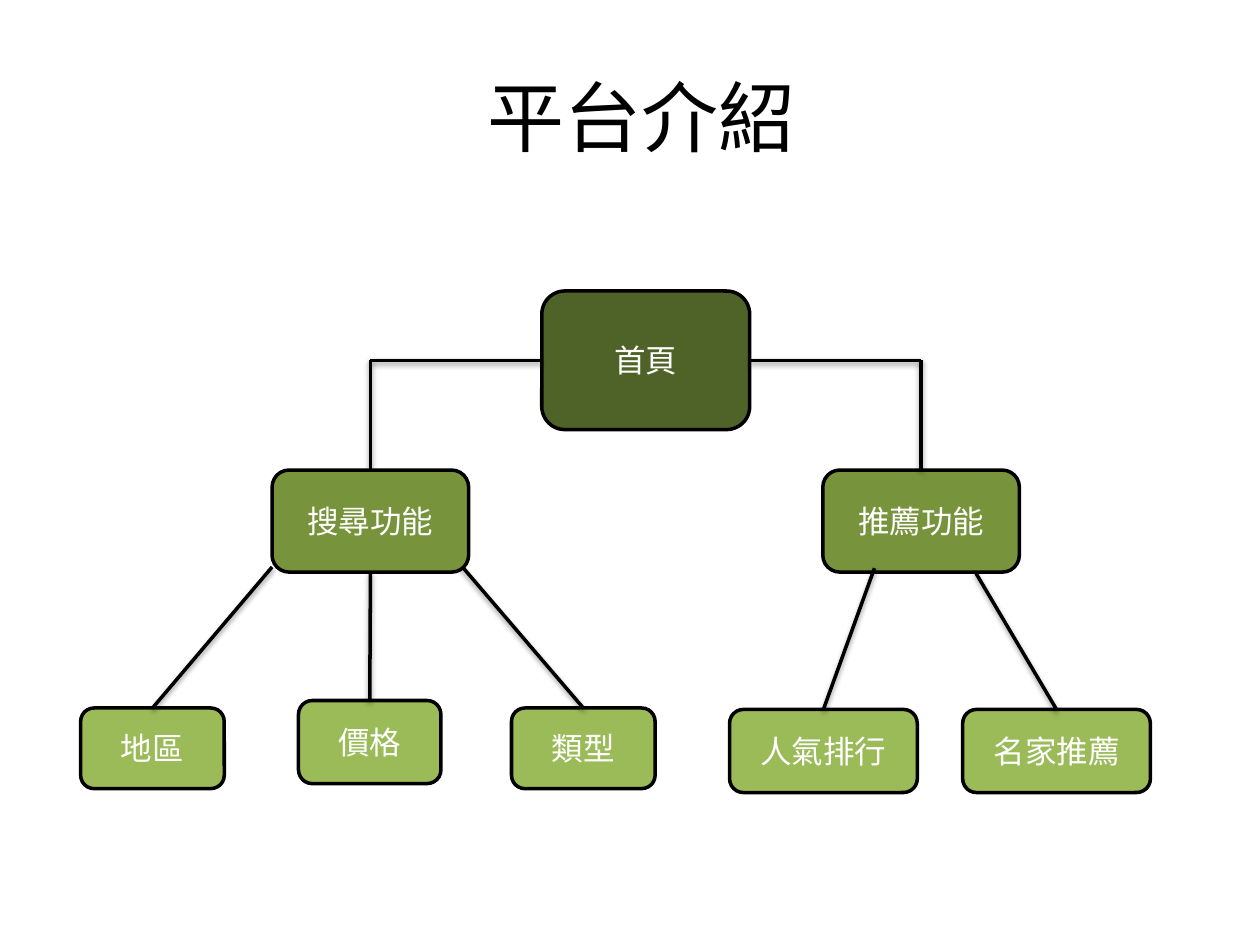
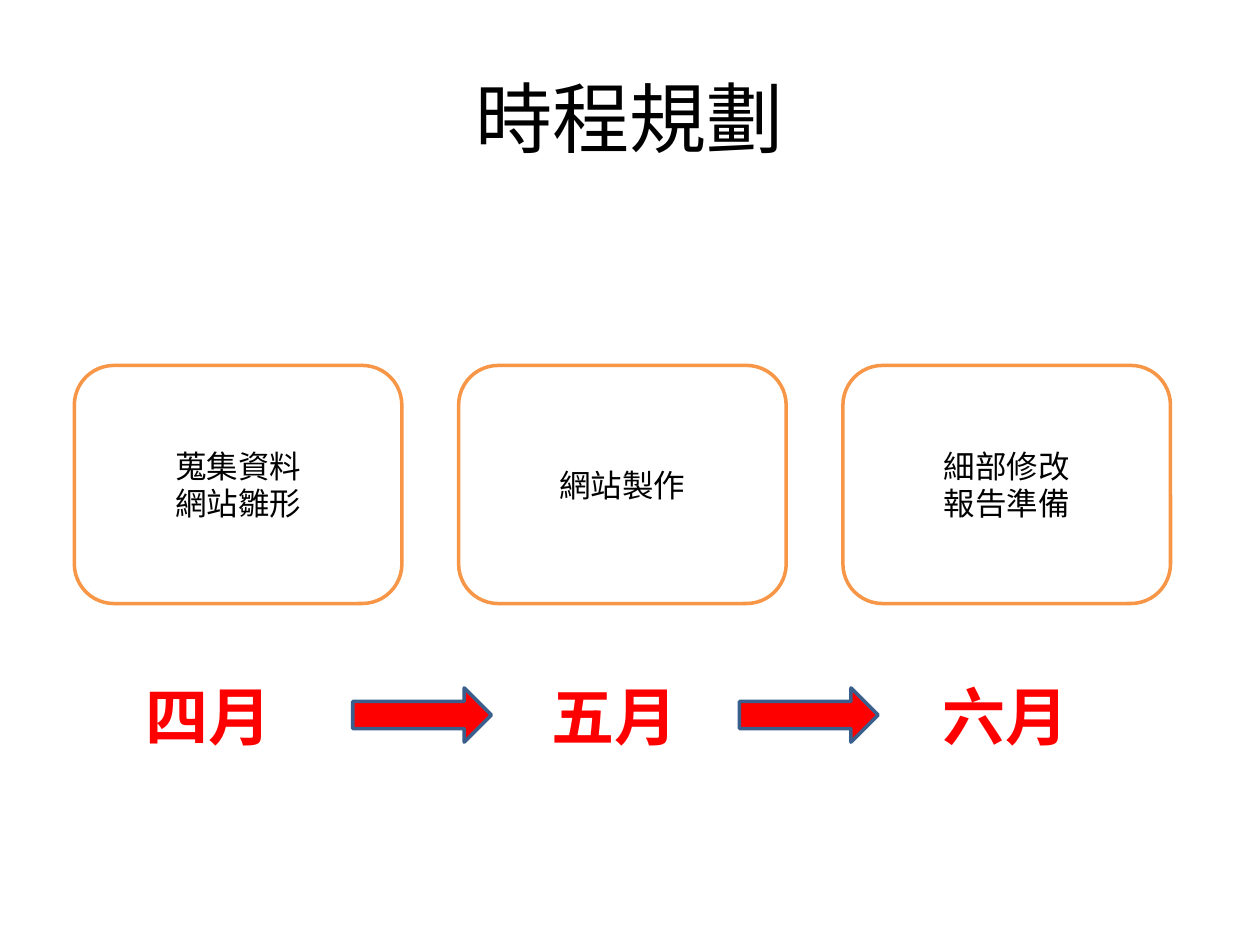
from lxml import etree
from pptx import Presentation
from pptx.dml.color import RGBColor
from pptx.enum import shapes, text
from pptx.oxml import parse_xml
from pptx.oxml.ns import nsdecls, qn
from pptx.util import Pt

BODY, CJK = "Calibri", "Noto Sans CJK SC"
BLACK, WHITE, RED = "000000", "FFFFFF", "FF0000"
DARK, GREEN, LIGHT = "4F6228", "77933C", "9BBB59"
ORANGE, BLUE = "F79646", "3A5F8C"
KIND = shapes.MSO_SHAPE
SHADE = (
    f'<a:effectLst {nsdecls("a")}><a:outerShdw blurRad="{Pt(3.1)}" dist="{Pt(1.6)}"'
    ' dir="5400000" rotWithShape="0"><a:srgbClr val="000000">'
    '<a:alpha val="38000"/></a:srgbClr></a:outerShdw></a:effectLst>'
)


def write(shape, words, size, color, font=BODY, bold=False, align=text.PP_ALIGN.CENTER):
    frame = shape.text_frame
    frame.text = words
    frame.vertical_anchor = text.MSO_ANCHOR.MIDDLE
    for para in frame.paragraphs:
        para.alignment = align
        for run in para.runs:
            run.font.size, run.font.name, run.font.bold = Pt(size), font, bold
            run.font.color.rgb = RGBColor.from_string(color)
            etree.SubElement(run.font._element, qn("a:ea")).set("typeface", CJK)


def draw(slide, kind, left, top, width, height, fill, edge):
    shape = slide.shapes.add_shape(kind, Pt(left), Pt(top), Pt(width), Pt(height))
    shape.shadow.inherit = False
    shape.fill.solid()
    shape.fill.fore_color.rgb = RGBColor.from_string(fill)
    shape.line.color.rgb = RGBColor.from_string(edge)
    shape.line.width = Pt(2)
    return shape


deck = Presentation()
deck.slide_width, deck.slide_height = Pt(720), Pt(540)

# Slides and their titles
pages = []
for words, left, top in (("平台介紹", 42.5, 20.9), ("時程規劃", 36, 21.6)):
    page = deck.slides.add_slide(deck.slide_layouts[6])
    title = page.shapes.add_textbox(Pt(left), Pt(top), Pt(648), Pt(90))
    title.text_frame.word_wrap = True
    write(title, words, 44, BLACK)
    pages.append(page)
site, plan = pages

# Site map: links lie above all boxes except the search box
home = ("首頁", 309.6, 166.3, 118.8, 79.2, DARK)
search = ("搜尋功能", 155.5, 268.6, 112.3, 58.3, GREEN)
advice = ("推薦功能", 470.2, 268.6, 112.3, 58.3, GREEN)
leaves = [
    ("地區", 46.1, 404.6, 82.1, 46.1, LIGHT),
    ("價格", 170.6, 400.3, 81.4, 47.5, LIGHT),
    ("類型", 292.3, 404.6, 82.1, 46.1, LIGHT),
    ("人氣排行", 416.9, 405.4, 107.3, 47.5, LIGHT),
    ("名家推薦", 550.1, 405.4, 107.3, 47.5, LIGHT),
]
links = [
    (309.6, 205.9, 211.7, 205.9),
    (526.3, 205.9, 428.4, 205.9),
    (211.7, 205.9, 211.7, 268.6),
    (526.3, 205.9, 526.3, 268.6),
]
# Each leaf hangs from a point on its parent's lower edge
starts = [(155.5, 324), (211.7, 326.9), (260.6, 319.7), (499.7, 324.7), (557.3, 326.9)]
for start, (_, left, top, width, *_) in zip(starts, leaves):
    links.append((*start, left + width / 2, top))

for item in [home, *leaves, advice, *links, search]:
    if len(item) == 4:
        link = site.shapes.add_connector(
            shapes.MSO_CONNECTOR.STRAIGHT, *(Pt(n) for n in item))
        link.line.color.rgb = RGBColor.from_string(BLACK)
        link.line.width = Pt(2)
        link._element.spPr.append(parse_xml(SHADE))
    else:
        words, *place, fill = item
        write(draw(site, KIND.ROUNDED_RECTANGLE, *place, fill, BLACK), words, 18, WHITE)

# Schedule: one box for each month's work
for col, words in enumerate(("蒐集資料\n網站雛形", "網站製作", "細部修改\n報告準備")):
    box = draw(plan, KIND.ROUNDED_RECTANGLE, 42.5 + 219.6 * col, 208.8, 187.2, 136.1,
               WHITE, ORANGE)
    write(box, words, 18, BLACK)

# Month names
for words, left, width in (("四月", 76.3, 153.4), ("五月", 308.2, 87.1), ("六月", 531.4, 87.1)):
    month = plan.shapes.add_textbox(Pt(left), Pt(383), Pt(width), Pt(51.1))
    month.text_frame.word_wrap = words == "四月"
    write(month, words, 36, RED, CJK, True, text.PP_ALIGN.LEFT)

# Arrows between months
for left in (201.6, 422.6):
    draw(plan, KIND.RIGHT_ARROW, left, 393.1, 79.2, 31, RED, BLUE)

deck.save("out.pptx")
